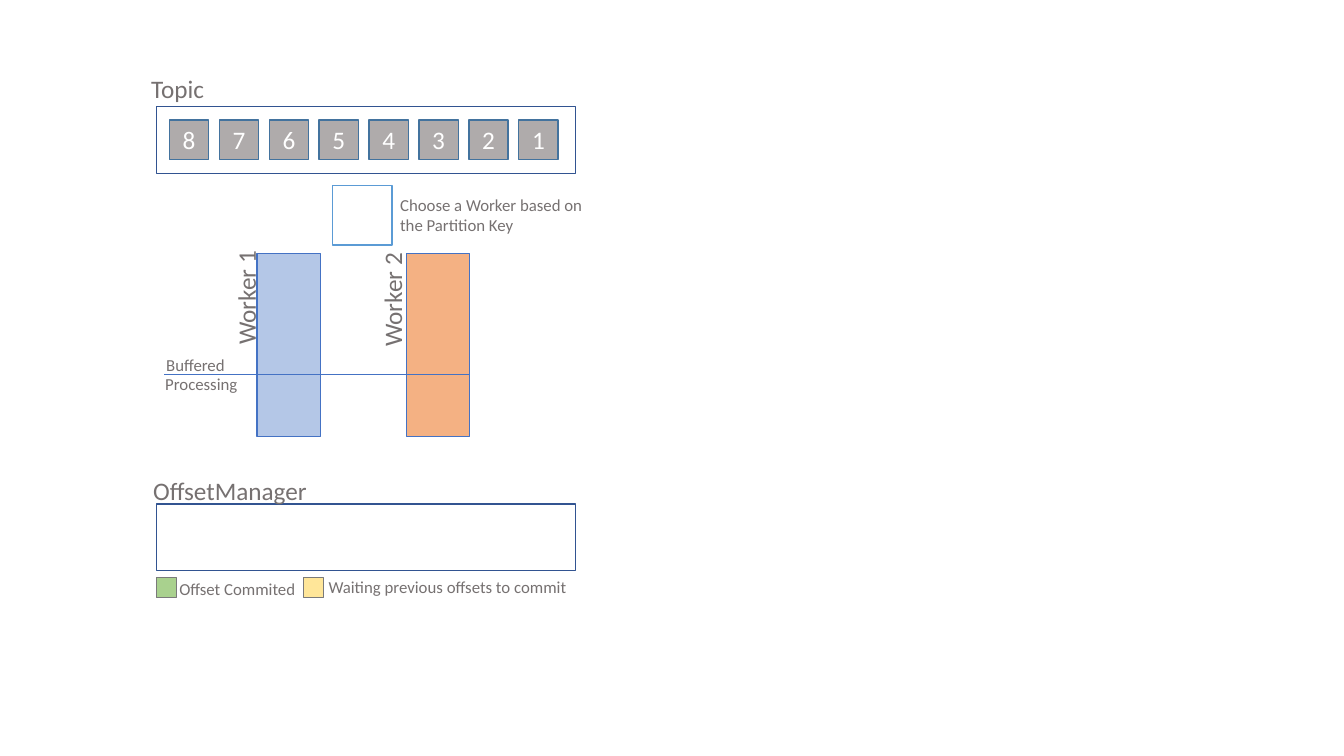
from lxml.etree import SubElement
from pptx import Presentation
from pptx.dml.color import RGBColor
from pptx.enum.shapes import MSO_CONNECTOR, MSO_SHAPE
from pptx.enum.text import MSO_ANCHOR, MSO_AUTO_SIZE, PP_ALIGN
from pptx.oxml.ns import qn
from pptx.util import Inches, Pt

THEME = {
    "font": "Calibri", "title": 18, "note": 12, "line": 1, "divider": 0.5,
    "text": "767171", "white": "FFFFFF", "frame": "325491",
    "message": "AFABAB", "message_line": "43739E", "router_line": "5B9BD5",
    "worker_line": "4472C4", "worker_1": "B4C7E7", "worker_2": "F4B183",
    "committed": "A9D18E", "waiting": "FFE699", "legend_line": "7A7A7A",
}

LEFT = 1.55
FRAME_SIZE = (4.16, 0.66)
TOPIC_TOP, MANAGER_TOP = 1.06, 5
MESSAGES = ["8", "7", "6", "5", "4", "3", "2", "1"]
MESSAGE_LEFT, MESSAGE_SIZE, MESSAGE_PITCH = 1.68, 0.39, 0.495
WORKER_LEFT, WORKER_PITCH, WORKER_TOP = 2.55, 1.48, 2.515
WORKER_SIZE = (0.63, 1.815)
WORKERS = [("Worker 1", "worker_1", (1.87, 2.75)), ("Worker 2", "worker_2", (3.32, 2.77))]
LEGEND_TOP, LEGEND_SIZE = 5.73, 0.2
LEGEND = [(LEFT, "committed"), (3.01, "waiting")]
DIVIDER = (1.63, 4.65, 3.71)
LABELS = [
    ("Topic", "title", (1.4, 0.68, 0.73, 0.4)),
    ("OffsetManager", "title", (1.42, 4.67, 1.75, 0.4)),
    ("Offset Commited", "note", (1.68, 5.69, 1.37, 0.3)),
    ("Waiting previous offsets to commit", "note", (3.16, 5.67, 2.59, 0.3)),
    ("Choose a Worker based on\nthe Partition Key", "note", (3.87, 1.88, 2.03, 0.5)),
    ("Processing", "note", (1.54, 3.66, 0.93, 0.3)),
    ("Buffered", "note", (1.55, 3.47, 0.79, 0.3)),
]


def color(name):
    return RGBColor.from_string(THEME[name])


def format_text(text_frame, size, color_name):
    for paragraph in text_frame.paragraphs:
        for run in paragraph.runs:
            run.font.name = THEME["font"]
            run.font.size = Pt(THEME[size])
            run.font.color.rgb = color(color_name)


def add_box(slide, box, line, fill=None, text=None):
    shape = slide.shapes.add_shape(MSO_SHAPE.RECTANGLE, *map(Inches, box))
    shape.shadow.inherit = False
    if fill:
        shape.fill.solid()
        shape.fill.fore_color.rgb = color(fill)
    else:
        shape.fill.background()
    shape.line.color.rgb = color(line)
    shape.line.width = Pt(THEME["line"])
    if text:
        text_frame = shape.text_frame
        text_frame.text = text
        text_frame.vertical_anchor = MSO_ANCHOR.MIDDLE
        text_frame.paragraphs[0].alignment = PP_ALIGN.CENTER
        format_text(text_frame, "title", "white")


def add_label(slide, text, size, box, rotation=0):
    label = slide.shapes.add_textbox(*map(Inches, box))
    label.rotation = rotation
    text_frame = label.text_frame
    text_frame.word_wrap = False
    text_frame.auto_size = MSO_AUTO_SIZE.SHAPE_TO_FIT_TEXT
    text_frame.text = text
    format_text(text_frame, size, "text")


def add_divider(slide, start, end, height):
    divider = slide.shapes.add_connector(
        MSO_CONNECTOR.STRAIGHT, *map(Inches, (start, height, end, height)))
    divider.line.color.rgb = color("worker_line")
    divider.line.width = Pt(THEME["divider"])
    SubElement(divider._element.spPr, qn("a:effectLst"))


presentation = Presentation()
presentation.slide_width, presentation.slide_height = Inches(13.33), Inches(7.5)
slide = presentation.slides.add_slide(presentation.slide_layouts[6])

add_box(slide, (3.3, 1.84, 0.59, 0.59), "router_line", "white")
for column, (name, fill, corner) in enumerate(WORKERS):
    left = WORKER_LEFT + column * WORKER_PITCH
    add_box(slide, (left, WORKER_TOP, *WORKER_SIZE), "worker_line", fill)
    add_label(slide, name, "title", (*corner, 1.14, 0.4), 270)

for top in (TOPIC_TOP, MANAGER_TOP):
    add_box(slide, (LEFT, top, *FRAME_SIZE), "frame")
for column, number in enumerate(MESSAGES):
    left = MESSAGE_LEFT + column * MESSAGE_PITCH
    add_box(slide, (left, 1.19, MESSAGE_SIZE, MESSAGE_SIZE), "message_line", "message", number)
for left, fill in LEGEND:
    add_box(slide, (left, LEGEND_TOP, LEGEND_SIZE, LEGEND_SIZE), "legend_line", fill)

add_divider(slide, *DIVIDER)
for text, size, box in LABELS:
    add_label(slide, text, size, box)

presentation.save("out.pptx")
